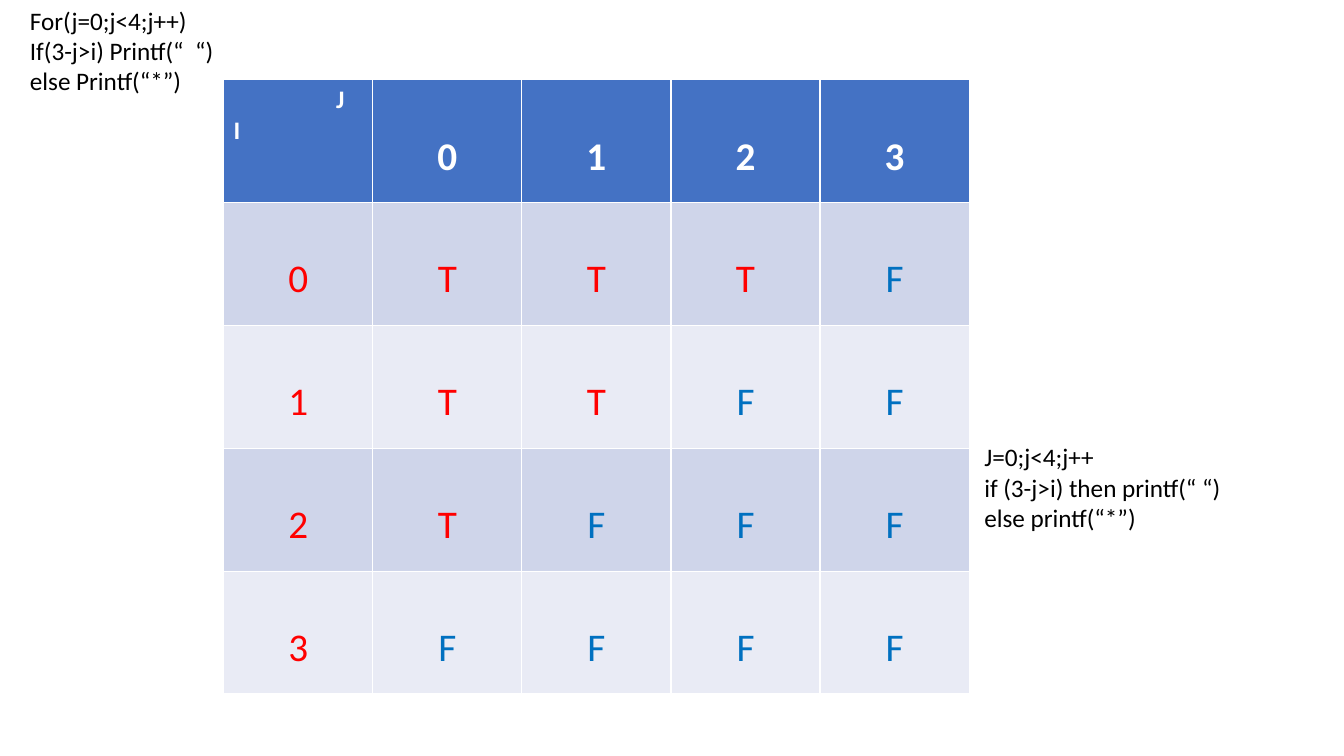
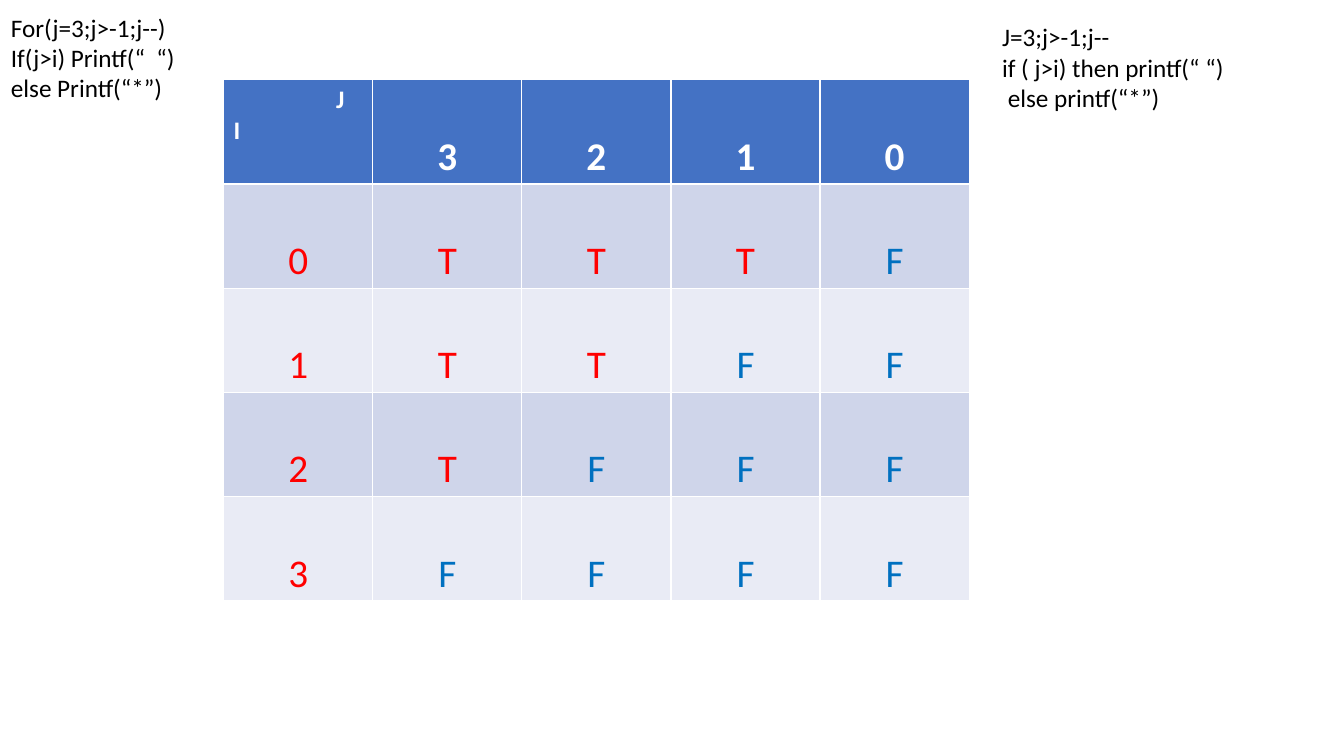
from pptx import Presentation
from pptx import util as u
from pptx.dml.color import RGBColor
from pptx.enum import text

PX = 9525  # EMU in one px; the slide is 1280 x 720 px
FONT = "Calibri"
WHITE, BLACK, RED, BLUE = "FFFFFF", "000000", "FF0000", "0070C0"
HEADER, BANDS = "4472C4", ("CFD5EA", "E9EBF5")
TABLE_LEFT, TABLE_TOP, COL_W = 213, 76, 142
LEFT, CENTER, RIGHT = (text.PP_ALIGN.LEFT, text.PP_ALIGN.CENTER,
                       text.PP_ALIGN.RIGHT)


def px(n):
    return u.Emu(n * PX)


def rgb(color):
    return RGBColor.from_string(color)


def write(p, content, size=18, color=BLACK, bold=False, align=LEFT, spacing=1.0):
    p.alignment, p.line_spacing = align, spacing
    r = p.add_run()
    r.text = content
    f = r.font
    f.name, f.size, f.bold = FONT, u.Pt(size), bold
    f.color.rgb = rgb(color)


def add_code(s, box, lines):
    tf = s.shapes.add_textbox(*map(px, box)).text_frame
    tf.word_wrap = True
    for n, line in enumerate(lines):
        write(tf.add_paragraph() if n else tf.paragraphs[0], line)


def fill_cell(cell, fill):
    cell.fill.solid()
    cell.fill.fore_color.rgb = rgb(fill)


def fill_corner(cell):
    fill_cell(cell, HEADER)
    cell.margin_right = px(27)
    tf = cell.text_frame
    write(tf.paragraphs[0], "J", color=WHITE, bold=True, align=RIGHT)
    write(tf.add_paragraph(), "I", color=WHITE, bold=True)


def fill_value(cell, value, fill, color, bold=False):
    fill_cell(cell, fill)
    write(cell.text_frame.paragraphs[0], str(value), size=28, color=color,
          bold=bold, align=CENTER, spacing=2.0)


def add_truth_table(s, left, top, row_h, js, is_blank):
    """Show T where is_blank(i, j) holds, with i down and j across."""
    rows, cols = 5, len(js) + 1
    frame = s.shapes.add_table(rows, cols, px(left), px(top),
                               px(COL_W * cols), px(row_h * rows))
    table = frame.table
    fill_corner(table.cell(0, 0))
    for col, j in enumerate(js, 1):
        fill_value(table.cell(0, col), j, HEADER, WHITE, bold=True)
    for i in range(rows - 1):
        band = BANDS[i % 2]
        fill_value(table.cell(i + 1, 0), i, band, RED)
        for col, j in enumerate(js, 1):
            value, color = ("T", RED) if is_blank(i, j) else ("F", BLUE)
            fill_value(table.cell(i + 1, col), value, band, color)


def add_loop_slide(prs, row_h, js, is_blank, codes):
    s = prs.slides.add_slide(prs.slide_layouts[6])
    add_truth_table(s, TABLE_LEFT, TABLE_TOP, row_h, js, is_blank)
    for box, lines in codes:
        add_code(s, box, lines)


def main():
    prs = Presentation()
    prs.slide_width, prs.slide_height = px(1280), px(720)
    add_loop_slide(prs, 117, range(4), lambda i, j: 3 - j > i, [
        ((19, 0, 265, 125),
         ["For(j=0;j<4;j++)", "If(3-j>i) Printf(“  “)", "else Printf(“*”)"]),
        ((928, 416, 319, 96),
         ["J=0;j<4;j++", "if (3-j>i) then printf(“ “)", "else printf(“*”)"]),
    ])
    add_loop_slide(prs, 99, range(3, -1, -1), lambda i, j: j > i, [
        ((1, 7, 245, 125),
         ["For(j=3;j>-1;j--)", "If(j>i) Printf(“  “)", "else Printf(“*”)"]),
        ((945, 16, 335, 96),
         ["J=3;j>-1;j--", "if ( j>i) then printf(“ “)", " else printf(“*”)"]),
    ])
    prs.save("out.pptx")


if __name__ == "__main__":
    main()
